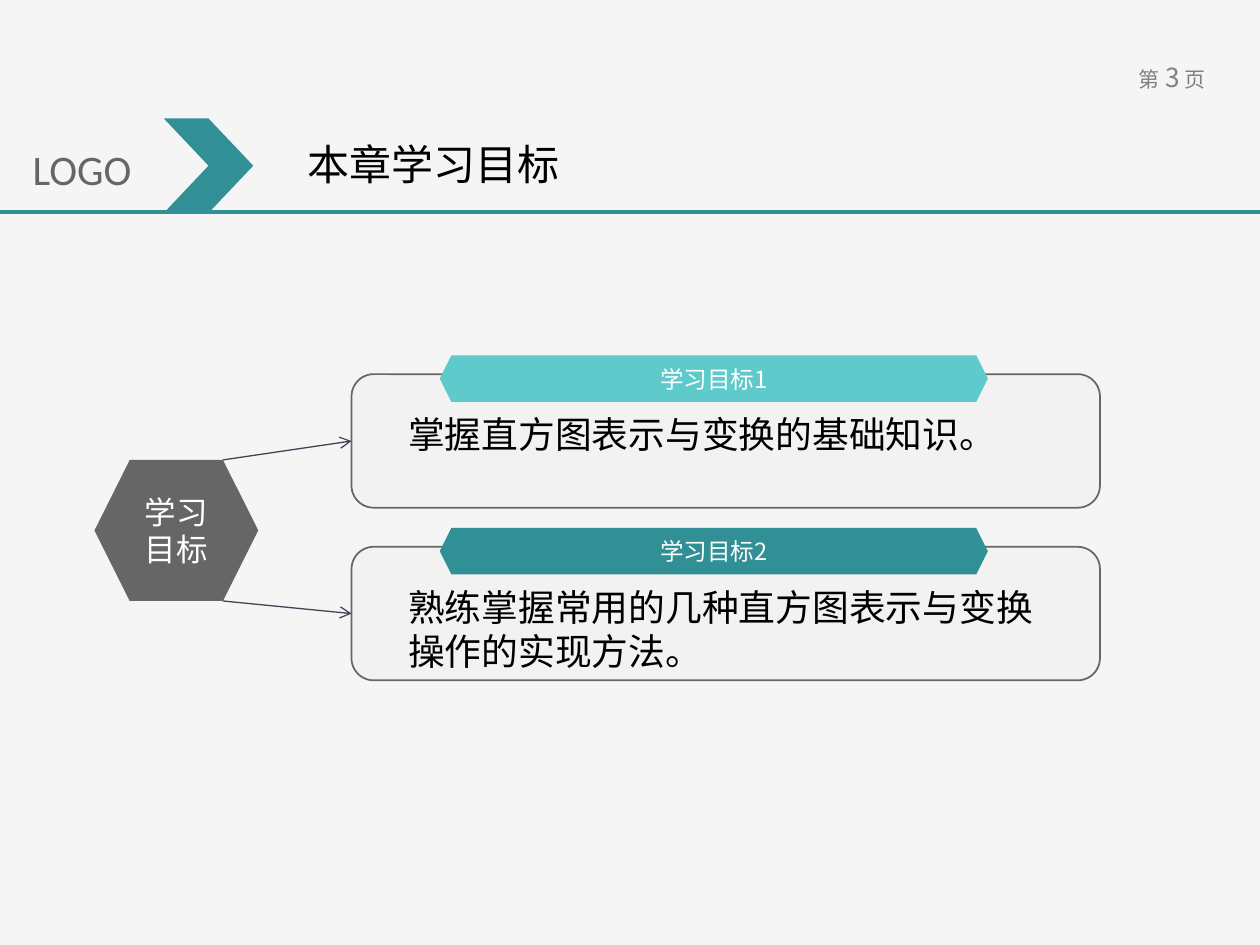
from dataclasses import dataclass

from lxml import etree
from pptx import Presentation
from pptx.dml.color import RGBColor
from pptx.enum.shapes import MSO_CONNECTOR, MSO_SHAPE
from pptx.enum.text import MSO_ANCHOR, MSO_AUTO_SIZE, PP_ALIGN
from pptx.oxml.ns import qn
from pptx.util import Inches, Pt

STRAIGHT = MSO_CONNECTOR.STRAIGHT
HEXAGON, CHEVRON = MSO_SHAPE.HEXAGON, MSO_SHAPE.CHEVRON
ROUNDED = MSO_SHAPE.ROUNDED_RECTANGLE
TOP, MIDDLE = MSO_ANCHOR.TOP, MSO_ANCHOR.MIDDLE
LEFT, CENTER, JUSTIFY = PP_ALIGN.LEFT, PP_ALIGN.CENTER, PP_ALIGN.JUSTIFY


@dataclass(frozen=True)
class Theme:
    background: str = "F5F5F5"
    panel: str = "F2F2F2"
    teal: str = "319095"
    aqua: str = "5FCACB"
    gray: str = "666666"
    page_gray: str = "808080"
    arrow: str = "414455"
    black: str = "000000"
    white: str = "FFFFFF"
    latin: str = "Calibri"
    chinese: str = "Noto Sans CJK SC"
    heading: float = 24
    body: float = 21
    hub: float = 18
    banner: float = 13.5
    page_number: float = 15
    page_label: float = 12


@dataclass(frozen=True)
class Box:
    left: float
    top: float
    width: float
    height: float

    def lengths(self):
        return [Inches(v) for v in (self.left, self.top, self.width, self.height)]


@dataclass(frozen=True)
class Goal:
    label: str
    text: str
    color: str
    arrow_start: float  # height at which the arrow leaves the hub


THEME = Theme()
HUB = Box(0.75, 3.65, 1.3, 1.12)
PANEL = Box(2.79, 2.97, 5.94, 1.06)
GOAL_STEP = 1.37
GOALS = (
    Goal("学习目标1", "掌握直方图表示与变换的基础知识。", THEME.aqua, HUB.top),
    Goal("学习目标2", "熟练掌握常用的几种直方图表示与变换操作的实现方法。",
         THEME.teal, HUB.top + HUB.height),
)


def rgb(color: str) -> RGBColor:
    return RGBColor.from_string(color)


def style_paragraph(paragraph, size: float, color: str, name: str, align=LEFT) -> None:
    paragraph.alignment = align
    font = paragraph.font
    font.size, font.name = Pt(size), name
    font.color.rgb = rgb(color)


def set_margins(frame, horizontal: float, vertical: float) -> None:
    frame.margin_left = frame.margin_right = Inches(horizontal)
    frame.margin_top = frame.margin_bottom = Inches(vertical)


def add_shape(slide, kind, box: Box, fill: str, outline: str | None = None):
    shape = slide.shapes.add_shape(kind, *box.lengths())
    shape.shadow.inherit = False
    shape.fill.solid()
    shape.fill.fore_color.rgb = rgb(fill)
    if outline:
        shape.line.color.rgb = rgb(outline)
        shape.line.width = Pt(1)
    else:
        shape.line.fill.background()
    return shape


def add_labelled_hexagon(slide, box: Box, fill: str, text: str, size: float) -> None:
    frame = add_shape(slide, HEXAGON, box, fill).text_frame
    set_margins(frame, 0.08, 0.04)
    frame.word_wrap, frame.vertical_anchor = True, MIDDLE
    frame.text = text
    style_paragraph(frame.paragraphs[0], size, THEME.white, THEME.chinese, CENTER)


def add_text_box(slide, box: Box, wrap: bool):
    frame = slide.shapes.add_textbox(*box.lengths()).text_frame
    frame.word_wrap = wrap
    frame.auto_size = MSO_AUTO_SIZE.SHAPE_TO_FIT_TEXT
    return frame


def add_line(slide, start: tuple[float, float], end: tuple[float, float],
             color: str, width: float, arrow: bool = False) -> None:
    points = [Inches(v) for v in (*start, *end)]
    connector = slide.shapes.add_connector(STRAIGHT, *points)
    connector.line.color.rgb = rgb(color)
    connector.line.width = Pt(width)
    if arrow:
        line = connector.line._get_or_add_ln()
        etree.SubElement(line, qn("a:tailEnd")).set("type", "arrow")
    etree.SubElement(connector._element.spPr, qn("a:effectLst"))


def add_page_number(slide) -> None:
    frame = add_text_box(slide, Box(8.84, 0.44, 0.93, 0.35), wrap=False)
    paragraph = frame.paragraphs[0]
    style_paragraph(paragraph, THEME.banner, THEME.page_gray, THEME.chinese, CENTER)
    for text, size in (("第", THEME.page_label), (" ", THEME.banner),
                       ("3", THEME.page_number), (" ", THEME.banner),
                       ("页", THEME.page_label)):
        run = paragraph.add_run()
        run.text, run.font.size = text, Pt(size)


def add_header(slide) -> None:
    add_line(slide, (0, 1.68), (10, 1.68), THEME.teal, 2.25)
    add_shape(slide, CHEVRON, Box(1.3, 0.94, 0.71, 0.75), THEME.teal)

    title = slide.shapes.title
    title.left, title.top, title.width, title.height = Box(2.01, 0.85, 3.35, 0.64).lengths()
    frame = title.text_frame
    frame.text = "本章学习目标"
    set_margins(frame, 0.1, 0.05)
    frame.word_wrap, frame.vertical_anchor = True, TOP
    frame.auto_size = MSO_AUTO_SIZE.SHAPE_TO_FIT_TEXT
    paragraph = frame.paragraphs[0]
    paragraph.line_spacing = 1.5
    style_paragraph(paragraph, THEME.heading, THEME.black, THEME.latin, JUSTIFY)
    paragraph._p.get_or_add_pPr().set("indent", str(Inches(0.33)))

    logo = add_text_box(slide, Box(0.16, 1.09, 1.25, 0.51), wrap=False)
    logo.text = "LOGO"
    style_paragraph(logo.paragraphs[0], THEME.heading, THEME.gray, THEME.latin)


def add_goal(slide, goal: Goal, top: float) -> None:
    """Draw a panel with its banner and text, and the arrow from the hub."""
    panel = Box(PANEL.left, top, PANEL.width, PANEL.height)
    add_shape(slide, ROUNDED, panel, THEME.panel, THEME.gray)
    add_labelled_hexagon(slide, Box(3.49, top - 0.15, 4.35, 0.37),
                         goal.color, goal.label, THEME.banner)
    frame = add_text_box(slide, Box(3.16, top + 0.26, 5.35, 0.78), wrap=True)
    set_margins(frame, 0.08, 0.04)
    frame.text = goal.text
    style_paragraph(frame.paragraphs[0], THEME.body, THEME.black, THEME.latin)
    corner = HUB.left + HUB.width - HUB.height / 4
    add_line(slide, (corner, goal.arrow_start), (panel.left, top + panel.height / 2),
             THEME.arrow, 0.75, arrow=True)


def main() -> None:
    presentation = Presentation()
    presentation.slide_width, presentation.slide_height = Inches(10), Inches(7.5)
    slide = presentation.slides.add_slide(presentation.slide_layouts[5])
    slide.background.fill.solid()
    slide.background.fill.fore_color.rgb = rgb(THEME.background)

    add_page_number(slide)
    add_header(slide)
    add_labelled_hexagon(slide, HUB, THEME.gray, "学习目标", THEME.hub)
    for index, goal in enumerate(GOALS):
        add_goal(slide, goal, PANEL.top + index * GOAL_STEP)
    presentation.save("out.pptx")


if __name__ == "__main__":
    main()
